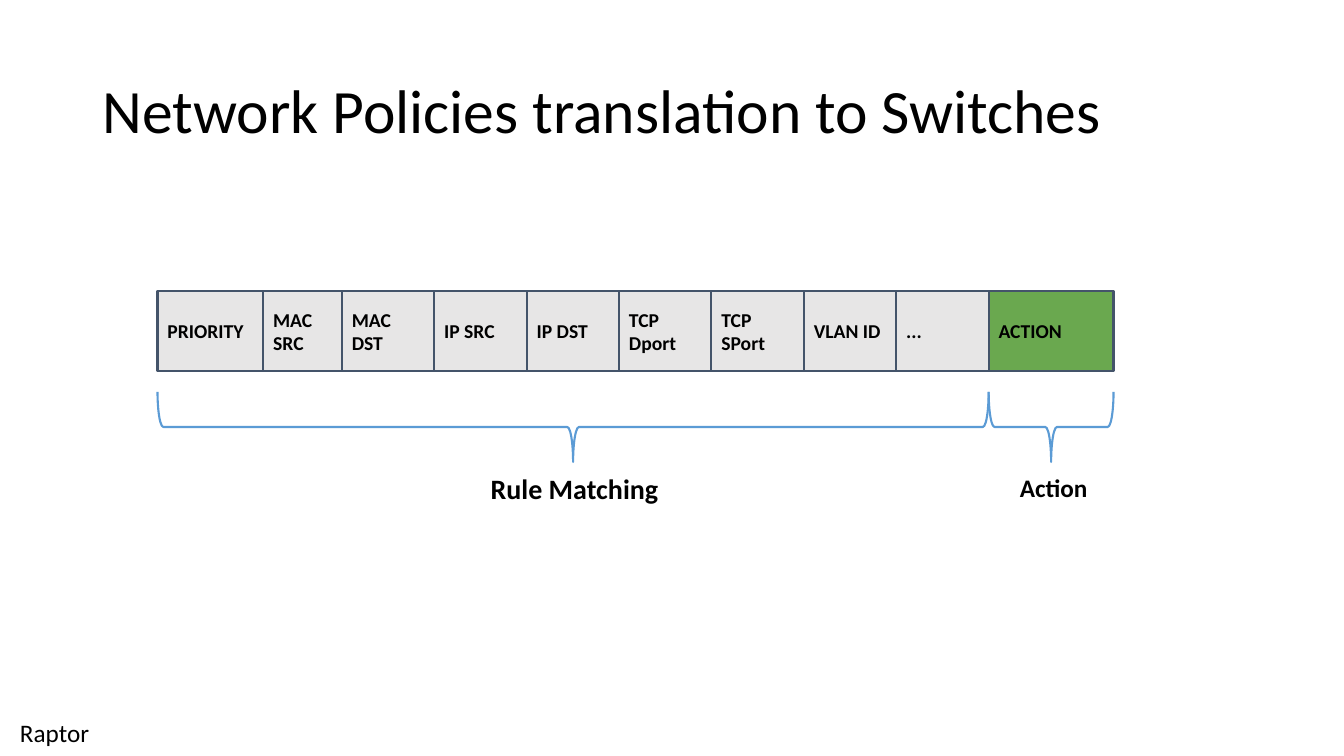
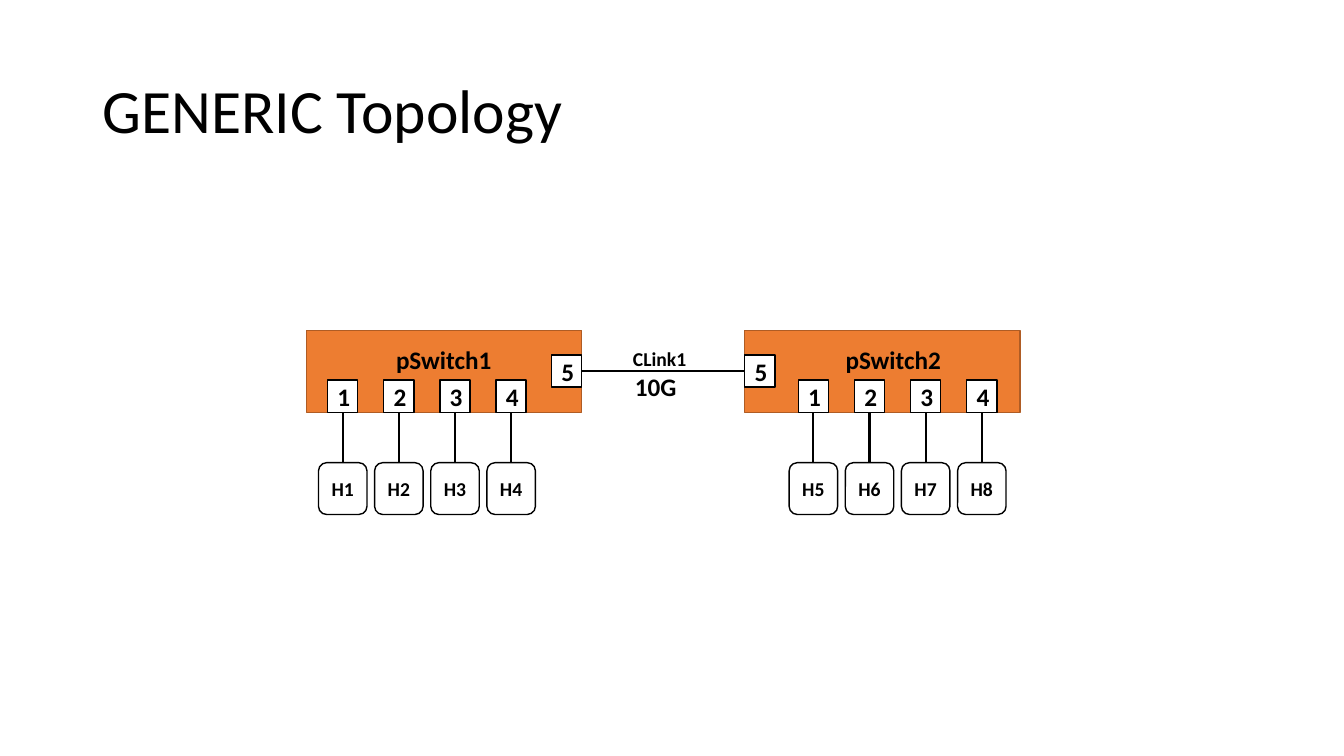
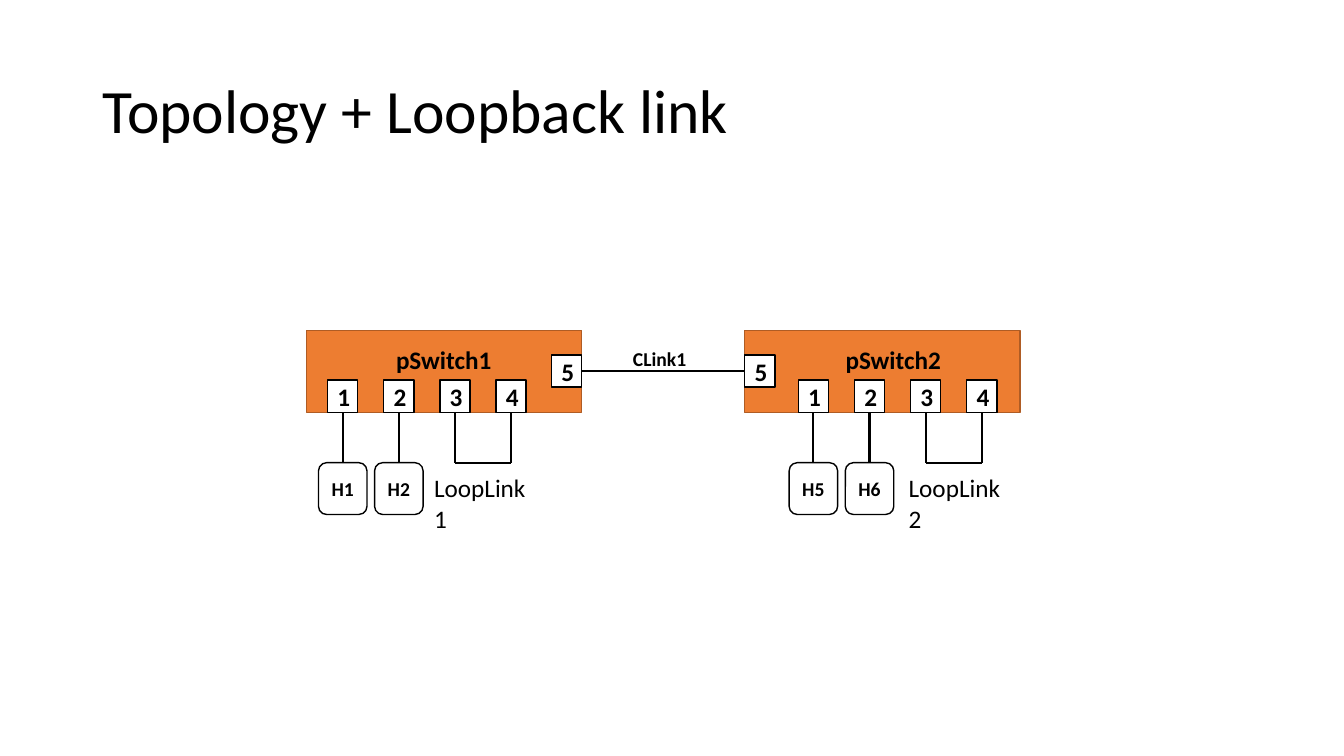
from dataclasses import dataclass
from typing import Optional

from lxml import etree
from pptx import Presentation
from pptx.dml.color import RGBColor
from pptx.enum import shapes, text
from pptx.oxml import ns
from pptx.util import Pt


@dataclass(frozen=True)
class Theme:
    font: str = "Calibri"
    black: str = "000000"
    white: str = "FFFFFF"
    cell: str = "E7E6E6"
    cell_line: str = "44546A"
    action: str = "6AA84F"
    brace: str = "5B9BD5"
    switch: str = "ED7D31"
    switch_line: str = "AF5C24"
    title_size: float = 44
    label_size: float = 20
    body_size: float = 18
    small_size: float = 14
    thin: float = 1
    thick: float = 1.5


@dataclass(frozen=True)
class Box:
    left: float
    top: float
    width: float
    height: float

    @property
    def right(self) -> float:
        return self.left + self.width

    @property
    def bottom(self) -> float:
        return self.top + self.height

    @property
    def center_x(self) -> float:
        return self.left + self.width / 2

    def emu(self) -> tuple:
        return Pt(self.left), Pt(self.top), Pt(self.width), Pt(self.height)


@dataclass(frozen=True)
class Field:
    name: str
    width: float
    fill: str


@dataclass(frozen=True)
class Switch:
    name: str
    box: Box
    first_port_x: float
    uplink_x: float
    name_x: float
    first_host: int
    loop_name: str
    loop_name_x: float


T = Theme()
RECT = shapes.MSO_SHAPE.RECTANGLE
ROUND = shapes.MSO_SHAPE.ROUNDED_RECTANGLE
BRACE = shapes.MSO_SHAPE.RIGHT_BRACE
LEFT, CENTER = text.PP_ALIGN.LEFT, text.PP_ALIGN.CENTER
MIDDLE, TOP = text.MSO_ANCHOR.MIDDLE, text.MSO_ANCHOR.TOP

# Packet rule row
ROW = Box(112.5, 208, 0, 57)
FIELDS = [
    Field("PRIORITY", 75.5, T.cell),
    Field("MAC SRC", 56.2, T.cell),
    *(Field(name, 66, T.cell) for name in
      ("MAC DST", "IP SRC", "IP DST", "TCP Dport", "TCP SPort", "VLAN ID", "...")),
    Field("ACTION", 89.2, T.action),
]
BRACE_TOP, BRACE_DEPTH = 280, 50

# Switch topology
PORT_W, PORT_H, PORT_PITCH, PORT_COUNT = 21.6, 23, 40.1, 4
HOST_W, HOST_H, HOST_TOP = 34.6, 37, 330.5
UPLINK_TOP = 253.6
SWITCHES = [
    Switch("pSwitch1", Box(219, 236, 196.6, 58.5), 234, 394, 275.8, 1, "LoopLink1", 303),
    Switch("pSwitch2", Box(532, 236, 196.6, 58.5), 570.2, 532, 596.9, 5, "LoopLink2", 642),
]


def color(value: str) -> RGBColor:
    return RGBColor.from_string(value)


def style_text(tf, content: str, size: float, bold: bool = False,
               align=LEFT, anchor=TOP) -> None:
    tf.text = content
    tf.word_wrap = True
    tf.vertical_anchor = anchor
    p = tf.paragraphs[0]
    p.alignment = align
    r = p.runs[0]
    r.font.name, r.font.size, r.font.bold = T.font, Pt(size), bold
    r.font.color.rgb = color(T.black)


def add_box(s, kind, box: Box, line: str, weight: float, fill: Optional[str] = None):
    sp = s.shapes.add_shape(kind, *box.emu())
    sp.shadow.inherit = False
    if fill:
        sp.fill.solid()
        sp.fill.fore_color.rgb = color(fill)
    else:
        sp.fill.background()
    sp.line.color.rgb = color(line)
    sp.line.width = Pt(weight)
    return sp


def add_label(s, content: str, box: Box, size: float, bold: bool = False,
              inset_y: float = 3.6) -> None:
    tf = s.shapes.add_textbox(*box.emu()).text_frame
    tf.margin_top = tf.margin_bottom = Pt(inset_y)
    style_text(tf, content, size, bold)


def add_line(s, x1: float, y1: float, x2: float, y2: float, begin=None, end=None) -> None:
    """Draw a straight line; begin and end are (shape, side) joints."""
    cx = s.shapes.add_connector(shapes.MSO_CONNECTOR.STRAIGHT,
                                Pt(x1), Pt(y1), Pt(x2), Pt(y2))
    cx.line.color.rgb = color(T.black)
    cx.line.width = Pt(T.thick)
    etree.SubElement(cx._element.spPr, ns.qn("a:effectLst"))
    if begin:
        cx.begin_connect(*begin)
    if end:
        cx.end_connect(*end)


def add_slide(prs, title: str):
    s = prs.slides.add_slide(prs.slide_layouts[5])
    sp = s.shapes.title
    sp.left, sp.top, sp.width, sp.height = Box(66, 28.75, 828, 104.4).emu()
    tf = sp.text_frame
    style_text(tf, title, T.title_size, anchor=MIDDLE)
    tf.auto_size = text.MSO_AUTO_SIZE.NONE
    tf.paragraphs[0].line_spacing = 0.9
    return s


def add_brace(s, left: float, right: float) -> None:
    """Draw a brace that opens upwards: a right brace turned by 90 degrees."""
    span = right - left
    box = Box((left + right - BRACE_DEPTH) / 2, BRACE_TOP + (BRACE_DEPTH - span) / 2,
              BRACE_DEPTH, span)
    add_box(s, BRACE, box, T.brace, T.thick).rotation = 90


def add_port(s, number: int, left: float, top: float):
    sp = add_box(s, RECT, Box(left, top, PORT_W, PORT_H), T.black, T.thin, T.white)
    style_text(sp.text_frame, str(number), T.body_size, True, CENTER, MIDDLE)
    return sp


def add_switch(s, sw: Switch, loopback: bool):
    """Draw a switch with its ports and hosts; return the uplink port."""
    add_box(s, RECT, sw.box, T.switch_line, T.thin, T.switch)
    add_label(s, sw.name, Box(sw.name_x, 242.6, 86, 29), T.body_size, True)
    uplink = add_port(s, PORT_COUNT + 1, sw.uplink_x, UPLINK_TOP)

    centers = []
    for i in range(PORT_COUNT):
        left = sw.first_port_x + i * PORT_PITCH
        x = left + PORT_W / 2
        centers.append(x)
        port = add_port(s, i + 1, left, sw.box.bottom - PORT_H)
        joint = None
        if not loopback or i < 2:
            host = add_box(s, ROUND, Box(x - HOST_W / 2, HOST_TOP, HOST_W, HOST_H),
                           T.black, T.thin, T.white)
            style_text(host.text_frame, f"H{sw.first_host + i}", T.small_size,
                       True, CENTER, MIDDLE)
            joint = (host, 0)
        add_line(s, x, sw.box.bottom, x, HOST_TOP, (port, 2), joint)

    if loopback:
        add_line(s, centers[2], HOST_TOP, centers[3], HOST_TOP)
        add_label(s, sw.loop_name, Box(sw.loop_name_x, 334, 86.4, 51), T.body_size)
    return uplink


def rule_slide(prs) -> None:
    s = add_slide(prs, "Network Policies translation to Switches")
    # Field row
    x = ROW.left
    for field in FIELDS:
        cell = Box(x, ROW.top, field.width, ROW.height)
        sp = add_box(s, RECT, cell, T.cell_line, T.thick, field.fill)
        tf = sp.text_frame
        tf.margin_top = tf.margin_bottom = Pt(7.2)
        style_text(tf, field.name, T.small_size, True, anchor=MIDDLE)
        x = cell.right
    # Braces and their labels
    split = x - FIELDS[-1].width
    add_brace(s, ROW.left, split)
    add_brace(s, split, x)
    add_label(s, "Rule Matching", Box(343.4, 329.8, 148.3, 49), T.label_size, True, 7.2)
    add_label(s, "Action", Box(721.4, 329.8, 148.3, 49), T.body_size, True, 7.2)
    # Footer
    add_label(s, "Raptor", Box(7.2, 509, 66, 29), T.body_size)


def topology_slide(prs, title: str, loopback: bool) -> None:
    s = add_slide(prs, title)
    left, right = (add_switch(s, sw, loopback) for sw in SWITCHES)
    # Link between the switches
    y = UPLINK_TOP + PORT_H / 2
    add_line(s, SWITCHES[0].box.right, y, SWITCHES[1].box.left, y, (left, 3), (right, 1))
    add_label(s, "CLink1", Box(445, 244, 58, 24.5), T.small_size, True)
    if not loopback:
        add_label(s, "10G", Box(446.4, 262, 50, 29), T.body_size, True)


def main() -> None:
    prs = Presentation()
    prs.slide_width, prs.slide_height = Pt(960), Pt(540)
    rule_slide(prs)
    topology_slide(prs, "GENERIC Topology", loopback=False)
    topology_slide(prs, "Topology + Loopback link", loopback=True)
    prs.save("out.pptx")


if __name__ == "__main__":
    main()
